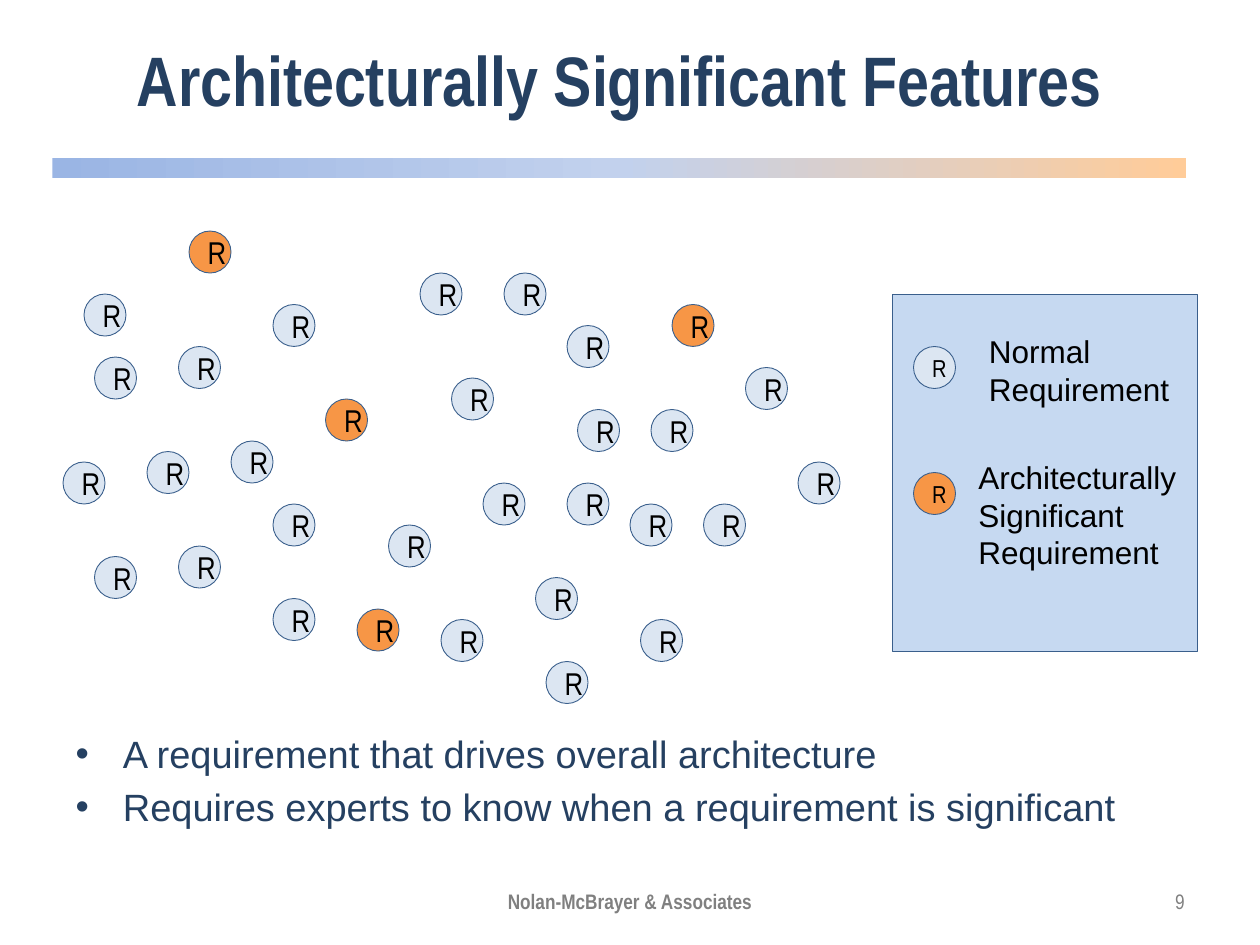
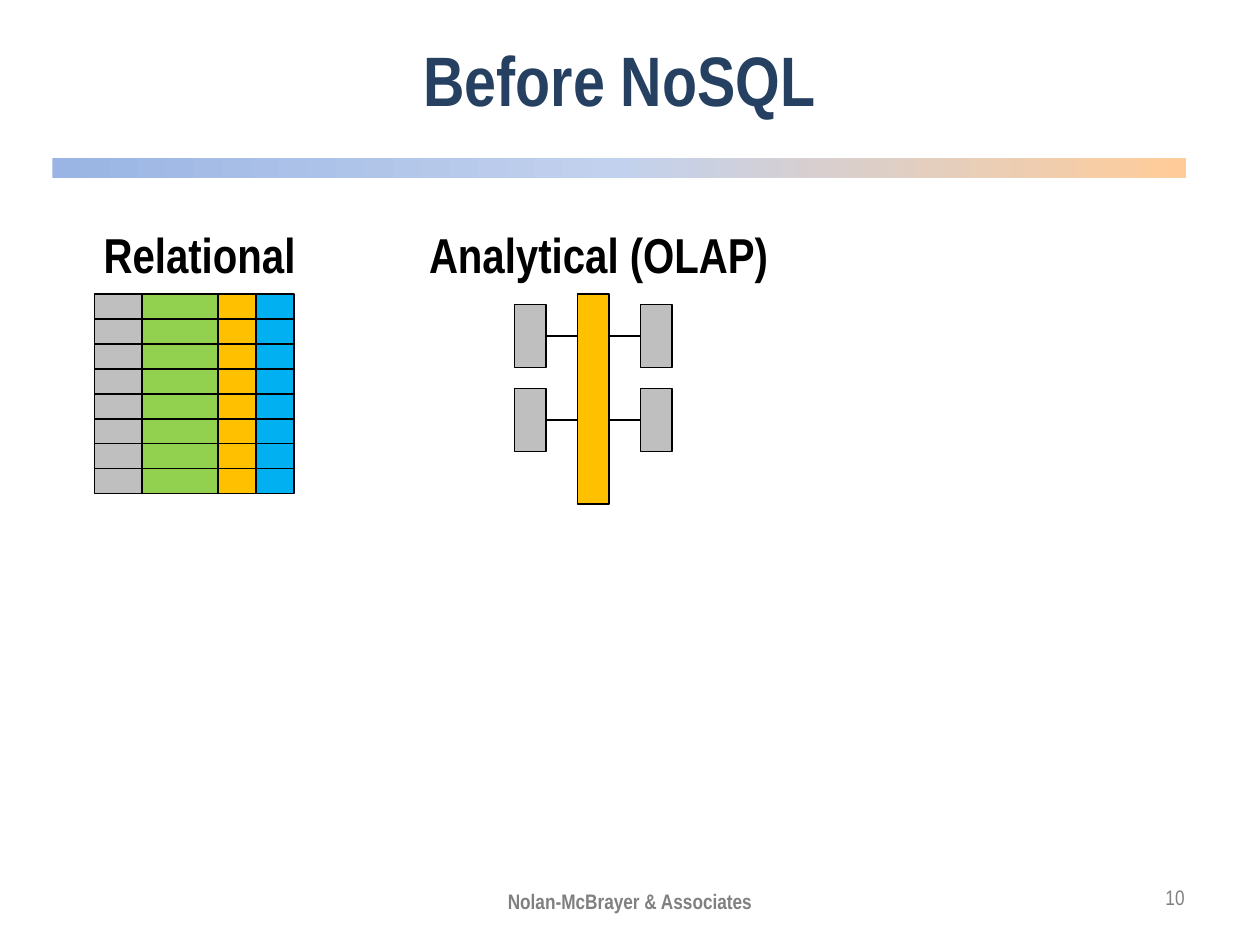
from lxml import etree
from pptx import Presentation
from pptx.dml.color import RGBColor
from pptx.enum import shapes as kinds, text as txt
from pptx.oxml import ns
from pptx.util import Pt

NAVY, BLACK, GREY = "254061", "000000", "808080"
EDGE, PALE, ORANGE = "3A5F8C", "DCE6F2", "F79646"
SILVER, GREEN, GOLD, CYAN = "BFBFBF", "92D050", "FFC000", "00B0F0"
BAND = {0: "9AB5E4", 50: "C2D1ED", 100: "FFCC99"}
LEFT, MID, RIGHT = txt.PP_ALIGN.LEFT, txt.PP_ALIGN.CENTER, txt.PP_ALIGN.RIGHT
RECT, OVAL = kinds.MSO_SHAPE.RECTANGLE, kinds.MSO_SHAPE.OVAL
CENTRE, TOP = txt.MSO_ANCHOR.MIDDLE, txt.MSO_ANCHOR.TOP
STEP, DOT = 6, 24

HEAD = {"name": "Arial Narrow", "size": Pt(40), "bold": True}
BODY = {"name": "Arial", "size": Pt(21.7)}
LABEL = {"name": "Arial", "size": Pt(18)}
SUB = {"name": "Arial Narrow", "size": Pt(28), "bold": True}
FOOT = {"name": "Arial Narrow", "size": Pt(12), "bold": True}
PAGE = {"name": "Arial Narrow", "size": Pt(12)}
MARK = {"name": "Arial Narrow", "size": Pt(18)}
KEY = {"name": "Arial Narrow", "size": Pt(14)}

NORMAL = [
    (67, 48), (71, 35), (76, 44), (62, 39), (22, 42), (26, 29), (17, 33),
    (43, 36), (48, 26), (54, 31), (40, 26), (42, 59), (46, 46), (51, 55),
    (37, 50), (26, 48), (6, 44), (17, 52), (8, 28), (54, 46), (60, 48),
    (55, 39), (61, 59), (52, 63), (14, 43), (9, 34), (26, 57), (9, 53),
]
MAJOR = [(31, 38), (64, 29), (18, 22), (34, 58)]
COLUMNS = [(27.2, SILVER), (43.4, GREEN), (21.7, GOLD), (21.7, CYAN)]


def ink(code):
    return RGBColor.from_string(code)


def style(item, values):
    for name, value in values.items():
        setattr(item, name, value)


def place(item, box):
    style(item, dict(zip(("left", "top", "width", "height"), map(Pt, box))))


def write(frame, lines, font, color, align=None):
    frame.text = "\n".join(lines)
    for para in frame.paragraphs:
        para.alignment = align
        for run in para.runs:
            style(run.font, font)
            run.font.color.rgb = ink(color)


def fill_in(holder, box, lines, font, align=None):
    place(holder, box)
    holder.text_frame.auto_size = txt.MSO_AUTO_SIZE.NONE
    write(holder.text_frame, lines, font, NAVY, align)


def label(slide, box, lines, font, color=BLACK, align=MID, anchor=CENTRE, wrap=True):
    frame = slide.shapes.add_textbox(*map(Pt, box)).text_frame
    style(frame, {"word_wrap": wrap, "vertical_anchor": anchor})
    write(frame, lines, font, color, align)


def block(shapes, kind, box, fill, edge=BLACK, width=1):
    item = shapes.add_shape(kind, *map(Pt, box))
    item.shadow.inherit = False
    item.fill.solid()
    item.fill.fore_color.rgb = ink(fill)
    item.line.color.rgb = ink(edge)
    item.line.width = Pt(width)
    return item


def mark(slide, spot, fill, font=MARK):
    col, row = spot
    dot = block(slide.shapes, OVAL, (col * STEP, row * STEP, DOT, DOT), fill, EDGE, 0.5)
    dot.text_frame.vertical_anchor = CENTRE
    write(dot.text_frame, ["R"], font, BLACK, MID)


def band(slide):
    bar = slide.shapes.add_shape(RECT, Pt(30), Pt(90), Pt(648), Pt(12))
    bar.shadow.inherit = False
    bar.line.fill.background()
    bar.fill.gradient()
    bar.fill.gradient_angle = 0
    stops = next(bar.element.iter(ns.qn("a:gsLst")))
    for old in list(stops):
        stops.remove(old)
    for share, code in BAND.items():
        stop = etree.SubElement(stops, ns.qn("a:gs"), pos=str(share * 1000))
        etree.SubElement(stop, ns.qn("a:srgbClr"), val=code)


def start(deck, layout, title, page, box):
    slide = deck.slides.add_slide(deck.slide_layouts[layout])
    band(slide)
    fill_in(slide.shapes.title, (30, 0, 648, 90), [title], HEAD, MID)
    label(slide, box, [page], PAGE, GREY, RIGHT)
    label(slide, (246, 500.4, 228, 28.8), ["Nolan-McBrayer & Associates"], FOOT, GREY)
    return slide


def legend(slide):
    block(slide.shapes, RECT, (510, 168, 174, 204), "C6D9F1", EDGE, 0.25)
    rows = [
        ((87, 33), PALE, (558, 186, 118.8, 51.1), ["Normal", "Requirement"]),
        ((87, 45), ORANGE, (552, 258, 128.9, 72.7),
         ["Architecturally", "Significant", "Requirement"]),
    ]
    for spot, fill, box, lines in rows:
        mark(slide, spot, fill, KEY)
        label(slide, box, lines, LABEL, align=LEFT, anchor=TOP, wrap=False)


def grid(slide, left, top, rows, height):
    shapes = slide.shapes.add_group_shape().shapes
    for width, fill in COLUMNS:
        for row in range(rows):
            block(shapes, RECT, (left, top + row * height, width, height), fill)
        left += width


def join(shapes, item, side, x, y):
    line = shapes.add_connector(kinds.MSO_CONNECTOR.STRAIGHT, 0, 0, Pt(x), Pt(y))
    line.begin_connect(item, side)
    line.line.color.rgb = ink(BLACK)
    line.line.width = Pt(0.75)
    etree.SubElement(line.element.spPr, ns.qn("a:effectLst"))


def star(slide):
    shapes = slide.shapes.add_group_shape().shapes
    block(shapes, RECT, (330, 168, 18, 120), GOLD)
    for left, side, edge in ((294, 3, 330), (366, 1, 348)):
        for top in (174, 222):
            table = block(shapes, RECT, (left, top, 18, 36), SILVER)
            join(shapes, table, side, edge, top + 18)


def features(deck):
    slide = start(deck, 1, "Architecturally Significant Features", "9",
                  (516, 500.4, 168, 28.8))
    fill_in(slide.placeholders[1], (36, 414, 648, 60), [
        "A requirement that drives overall architecture",
        "Requires experts to know when a requirement is significant",
    ], BODY)
    for spots, fill in ((NORMAL, PALE), (MAJOR, ORANGE)):
        for spot in spots:
            mark(slide, spot, fill)
    legend(slide)


def before(deck):
    slide = start(deck, 5, "Before NoSQL", "10", (642, 498, 42, 28.8))
    label(slide, (48, 126, 132, 38), ["Relational"], SUB)
    grid(slide, 54, 168, 8, 14.25)
    label(slide, (234, 126, 216, 38), ["Analytical (OLAP)"], SUB)
    star(slide)


def main():
    deck = Presentation()
    style(deck, {"slide_width": Pt(720), "slide_height": Pt(540)})
    features(deck)
    before(deck)
    deck.save("out.pptx")


if __name__ == "__main__":
    main()
